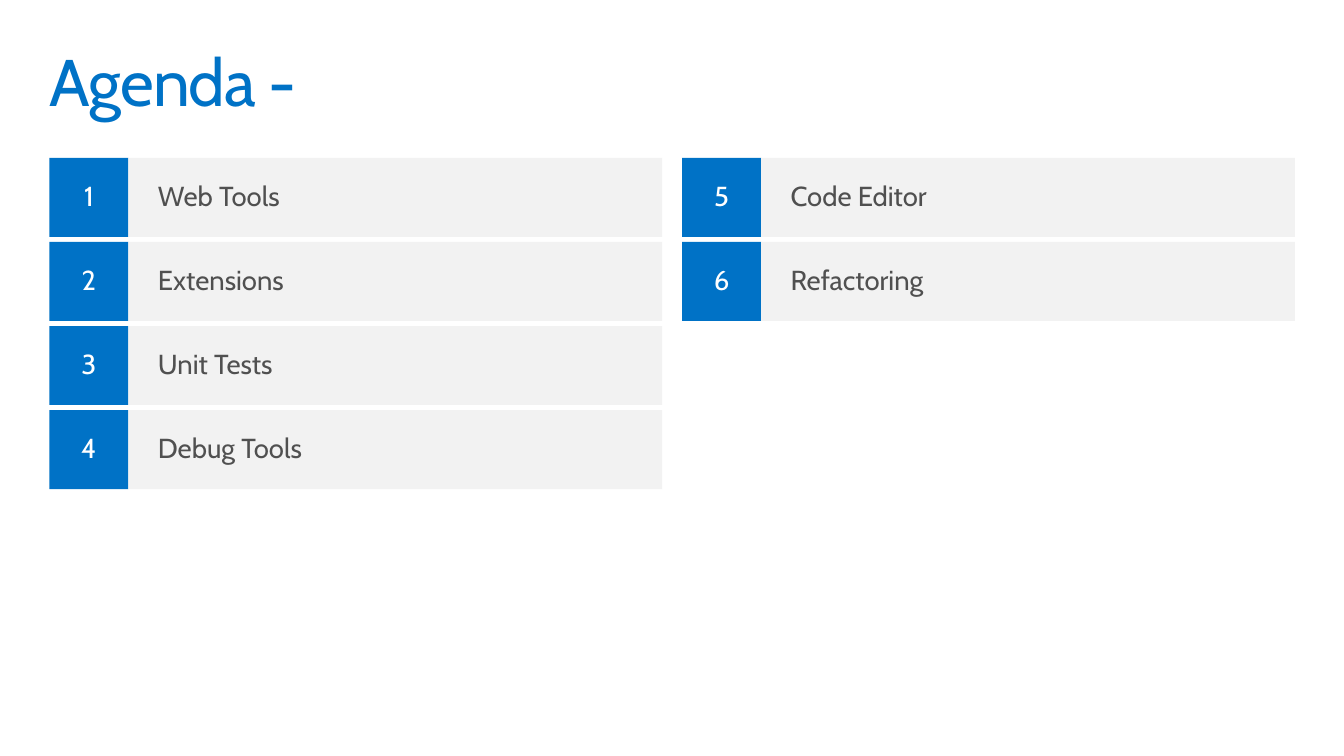
from pptx import Presentation
from pptx import util as u
from pptx.dml import color
from pptx.enum import shapes, text

AGENDA = ["Web Tools", "Extensions", "Unit Tests", "Debug Tools",
          "Code Editor", "Refactoring"]
ROWS_PER_COLUMN = 4
LEFT, TOP = 1.27, 4.06
COLUMN_STEP, ROW_STEP = 16.26, 2.16
NUMBER_SIDE, TOPIC_WIDTH = 2.03, 13.72


def rgb(hex_code):
    return color.RGBColor.from_string(hex_code)


class AgendaSlide:
    font = "Cabin"
    blue, gray, ink, white = "0072C6", "F2F2F2", "505050", "FFFFFF"

    def __init__(self, deck):
        self.slide = deck.slides.add_slide(deck.slide_layouts[5])
        self.slide.background.fill.solid()
        self.slide.background.fill.fore_color.rgb = rgb(self.white)

    def set_wording(self, frame, wording, size, ink, align, anchor, inset_x, inset_y):
        frame.text = wording
        frame.word_wrap = True
        frame.auto_size = text.MSO_AUTO_SIZE.NONE
        frame.vertical_anchor = anchor
        frame.margin_left = frame.margin_right = u.Cm(inset_x)
        frame.margin_top = frame.margin_bottom = u.Cm(inset_y)
        paragraph = frame.paragraphs[0]
        paragraph.alignment = align
        paragraph.line_spacing = 0.9
        run = paragraph.runs[0]
        run.font.name = self.font
        run.font.size = u.Pt(size)
        run.font.color.rgb = rgb(ink)
        return run

    def title(self, wording):
        heading = self.slide.shapes.title
        heading.left, heading.top = u.Cm(1.02), u.Cm(1.02)
        heading.width, heading.height = u.Cm(32.51), u.Cm(2.54)
        run = self.set_wording(heading.text_frame, wording, 48, self.blue,
                               text.PP_ALIGN.LEFT, text.MSO_ANCHOR.TOP, 0.25, 0.25)
        run._r.get_or_add_rPr().set("spc", "-70")  # slightly tightened letters

    def box(self, wording, left, top, width, fill, ink, align, inset_x, inset_y):
        tile = self.slide.shapes.add_shape(
            shapes.MSO_SHAPE.RECTANGLE,
            u.Cm(left), u.Cm(top), u.Cm(width), u.Cm(NUMBER_SIDE))
        tile.shadow.inherit = False
        tile.fill.solid()
        tile.fill.fore_color.rgb = rgb(fill)
        tile.line.fill.background()
        self.set_wording(tile.text_frame, wording, 20, ink, align,
                         text.MSO_ANCHOR.MIDDLE, inset_x, inset_y)

    def entry(self, number, topic, left, top):
        self.box(str(number), left, top, NUMBER_SIDE, self.blue, self.white,
                 text.PP_ALIGN.CENTER, 0.51, 0.41)
        self.box(topic, left + NUMBER_SIDE, top, TOPIC_WIDTH, self.gray, self.ink,
                 text.PP_ALIGN.LEFT, 0.76, 0.25)


def main():
    deck = Presentation()
    deck.slide_width, deck.slide_height = u.Cm(34.54), u.Cm(19.43)
    agenda = AgendaSlide(deck)

    # Title
    agenda.title("Agenda -")

    # Numbered topics, filled column by column
    for index, topic in enumerate(AGENDA):
        column, row = divmod(index, ROWS_PER_COLUMN)
        agenda.entry(index + 1, topic,
                     LEFT + column * COLUMN_STEP, TOP + row * ROW_STEP)

    deck.save("out.pptx")


if __name__ == "__main__":
    main()
